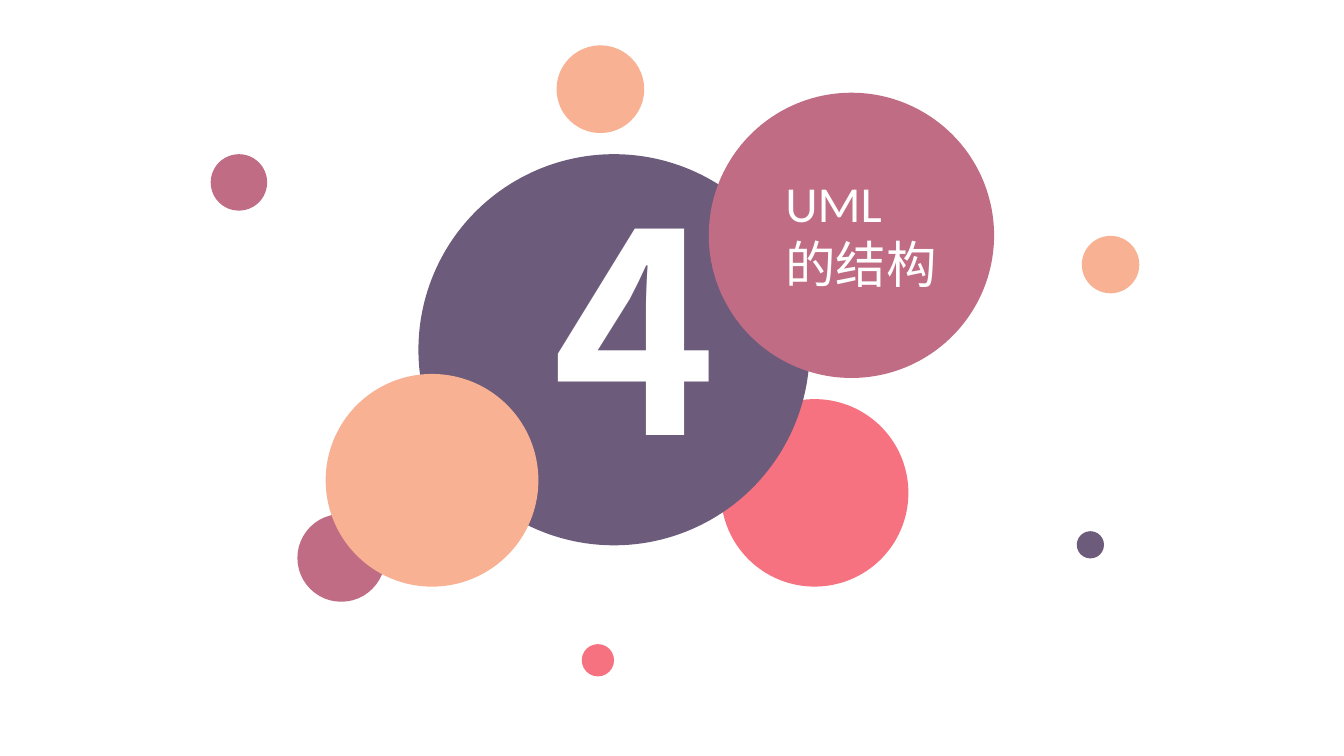
import pptx
import pptx.util
import pptx.dml.color
import pptx.enum.shapes
import pptx.enum.text

Inches = pptx.util.Inches
PLUM, ROSE, CORAL, PEACH = "6C5B7B", "C06C84", "F67280", "F8B193"

# Left, top, diameter and colour, from back to front
DISCS = [
    (2.95, 5.1, 0.87, ROSE),
    (7.15, 3.96, 1.86, CORAL),
    (4.15, 1.53, 3.88, PLUM),
    (7.03, 0.92, 2.83, ROSE),
    (3.23, 3.71, 2.11, PEACH),
    (2.09, 1.53, 0.56, ROSE),
    (5.77, 6.39, 0.32, CORAL),
    (10.73, 2.34, 0.57, PEACH),
    (5.52, 0.45, 0.87, PEACH),
    (10.68, 5.27, 0.27, PLUM),
]


def color(code):
    return pptx.dml.color.RGBColor.from_string(code)


def add_disc(slide, left, top, size, code):
    disc = slide.shapes.add_shape(
        pptx.enum.shapes.MSO_SHAPE.OVAL,
        Inches(left), Inches(top), Inches(size), Inches(size))
    disc.shadow.inherit = False
    disc.fill.solid()
    disc.fill.fore_color.rgb = color(code)
    disc.line.fill.background()


def add_text(slide, box, lines, size, face, bold=False):
    frame = slide.shapes.add_textbox(*map(Inches, box)).text_frame
    frame.word_wrap = False
    frame.auto_size = pptx.enum.text.MSO_AUTO_SIZE.SHAPE_TO_FIT_TEXT
    frame.text = "\n".join(lines)
    for para in frame.paragraphs:
        para.font.size = pptx.util.Pt(size)
        para.font.name = face
        para.font.bold = bold
        para.font.color.rgb = color("FFFFFF")


def add_cover(slide, left, top):
    # Cluster of discs
    for x, y, size, code in DISCS:
        add_disc(slide, left + x, top + y, size, code)
    # Chapter number and title
    add_text(slide, (left + 5.38, top + 1.51, 1.59, 3.45),
             ["4"], 199, "Noto Sans CJK JP", True)
    add_text(slide, (left + 7.69, top + 1.66, 1.72, 1.31),
             ["UML", "的结构"], 36, "Calibri")


def main():
    deck = pptx.Presentation()
    deck.slide_width = Inches(13.33)
    deck.slide_height = Inches(7.5)
    slide = deck.slides.add_slide(deck.slide_layouts[6])
    add_cover(slide, 0, 0)
    deck.save("out.pptx")


if __name__ == "__main__":
    main()
